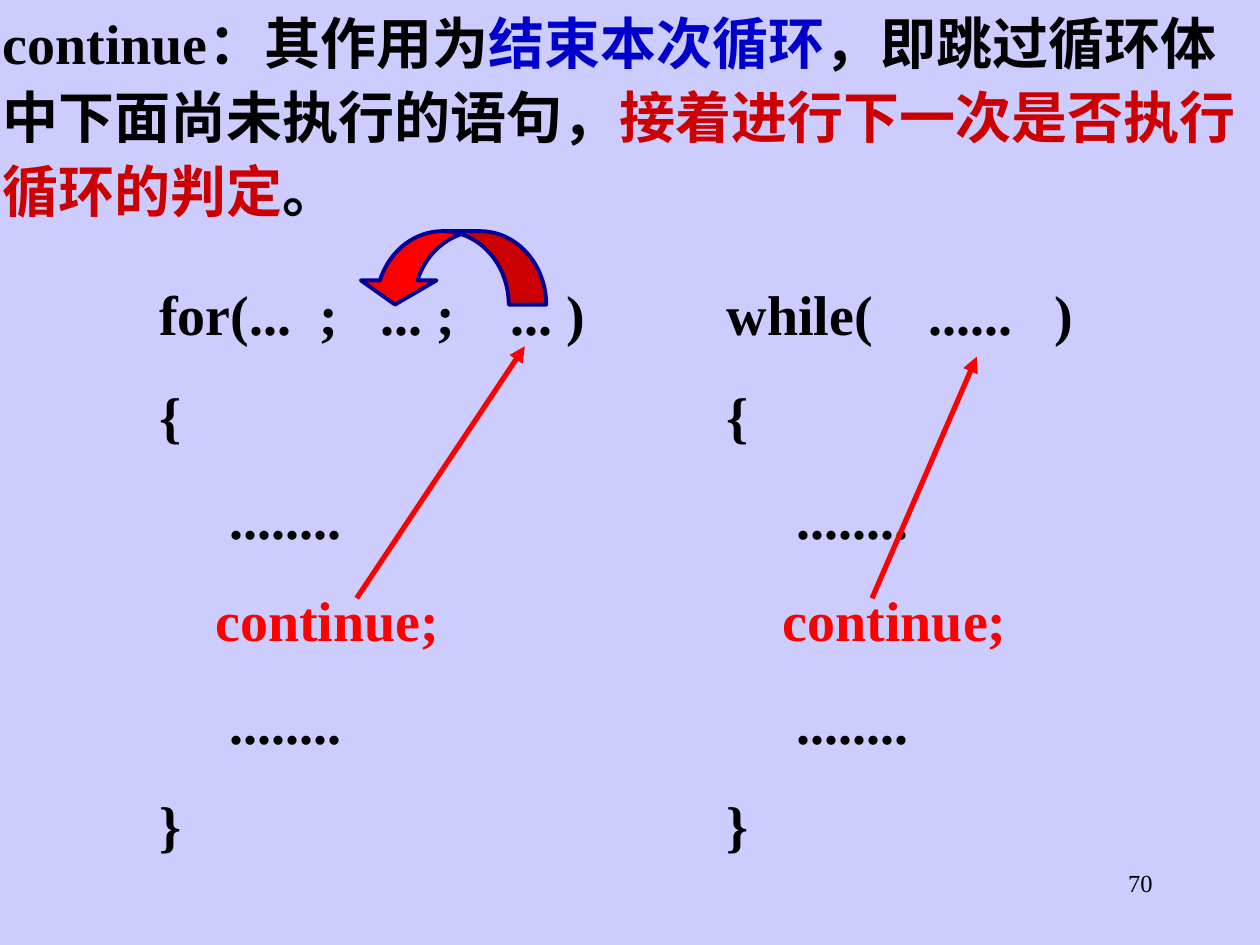
from lxml import etree
from pptx import Presentation
from pptx.dml.color import RGBColor
from pptx.enum.shapes import MSO_CONNECTOR, MSO_SHAPE
from pptx.enum.text import MSO_ANCHOR, MSO_AUTO_SIZE, PP_ALIGN
from pptx.oxml.ns import qn
from pptx.util import Cm, Pt

COLORS = {
    "page": "CCCCFF",
    "text": "000000",
    "key": "0000CC",
    "next": "CC0000",
    "jump": "FF0000",
    "outline": "000099",
}
FONT = "Times New Roman"


def color(name):
    return RGBColor.from_string(COLORS[name])


def set_values(target, values):
    for name, value in values.items():
        setattr(target, name, value)


def format_frame(frame, side, edge):
    """Wrap the text from the top, with the given insets in cm."""
    set_values(frame, {
        "word_wrap": True,
        "auto_size": MSO_AUTO_SIZE.NONE,
        "vertical_anchor": MSO_ANCHOR.TOP,
        "margin_left": Cm(side), "margin_right": Cm(side),
        "margin_top": Cm(edge), "margin_bottom": Cm(edge),
    })


def add_spans(para, spans, size=32, bold=True):
    for text, tone in spans:
        span = para.add_run()
        span.text = text
        set_values(span.font, {"name": FONT, "size": Pt(size), "bold": bold})
        span.font.color.rgb = color(tone)


def add_text_box(page, left, top, width, height):
    box = page.shapes.add_textbox(Cm(left), Cm(top), Cm(width), Cm(height))
    format_frame(box.text_frame, 0.25, 0.13)
    return box.text_frame


def place_definition(page, left, top, width, height):
    title = page.shapes.title
    set_values(title, {"left": Cm(left), "top": Cm(top),
                       "width": Cm(width), "height": Cm(height)})
    format_frame(title.text_frame, 0.05, 0.03)
    para = title.text_frame.paragraphs[0]
    set_values(para, {"alignment": PP_ALIGN.LEFT, "line_spacing": 1.1,
                      "space_before": Pt(0)})
    add_spans(para, [
        ("continue：其作用为", "text"),
        ("结束本次循环", "key"),
        ("，即跳过循环体中下面尚未执行的语句，", "text"),
        ("接着进行下一次是否执行循环的判定", "next"),
        ("。", "text"),
    ])


def add_jump(page, start, end):
    """Arrow from the continue statement to the place where the loop goes on."""
    arrow = page.shapes.add_connector(
        MSO_CONNECTOR.STRAIGHT, *(Cm(value) for value in start + end))
    arrow.line.width = Pt(3)
    arrow.line.color.rgb = color("jump")
    line = arrow.line._get_or_add_ln()
    etree.SubElement(line, qn("a:tailEnd"), type="triangle")
    etree.SubElement(arrow._element.spPr, qn("a:effectLst"))


def place_loop(page, left, top, header, start, end):
    """Code of one loop; start and end of its jump are relative to the box."""
    lines = [
        [(header, "text")],
        [("{", "text")],
        [("     ........", "text")],
        [("    ", "text"), ("continue;", "jump")],
        [("     ........", "text")],
        [("}", "text")],
    ]
    frame = add_text_box(page, left, top, 9.53, 11.91)
    for index, spans in enumerate(lines):
        para = frame.add_paragraph() if index else frame.paragraphs[0]
        para.space_before = Pt(20 if index else 0)
        add_spans(para, spans)
    add_jump(page, (left + start[0], top + start[1]),
             (left + end[0], top + end[1]))


def place_return_arrow(page, left, top, width, height):
    """Curved arrow from the step of the for loop back to its condition."""
    arrow = page.shapes.add_shape(
        MSO_SHAPE.CURVED_UP_ARROW, Cm(left), Cm(top), Cm(width), Cm(height))
    arrow.rotation = 180
    for index, value in enumerate((0.51, 1.03, 0.33)):
        arrow.adjustments[index] = value
    arrow.shadow.inherit = False
    arrow.fill.solid()
    arrow.fill.fore_color.rgb = color("jump")
    arrow.line.color.rgb = color("outline")
    arrow.line.width = Pt(2.25)


def place_page_number(page, left, top, width, height):
    para = add_text_box(page, left, top, width, height).paragraphs[0]
    para.alignment = PP_ALIGN.RIGHT
    add_spans(para, [("70", "text")], size=14, bold=False)


def main():
    deck = Presentation()
    deck.slide_width, deck.slide_height = Cm(25.4), Cm(19.05)
    page = deck.slides.add_slide(deck.slide_layouts[5])
    page.background.fill.solid()
    page.background.fill.fore_color.rgb = color("page")

    loop_top = 5.5
    place_definition(page, 0, 0, 25.4, 4.52)
    place_loop(page, 2.96, loop_top, "for(...  ;   ... ;    ... )",
               (4.23, 6.56), (7.62, 1.48))
    place_return_arrow(page, 7.2, 4.66, 3.81, 1.48)
    place_loop(page, 14.4, loop_top, "while(    ......   )",
               (3.18, 6.56), (5.29, 1.69))
    place_page_number(page, 18.2, 17.36, 5.29, 1.27)
    deck.save("out.pptx")


if __name__ == "__main__":
    main()
